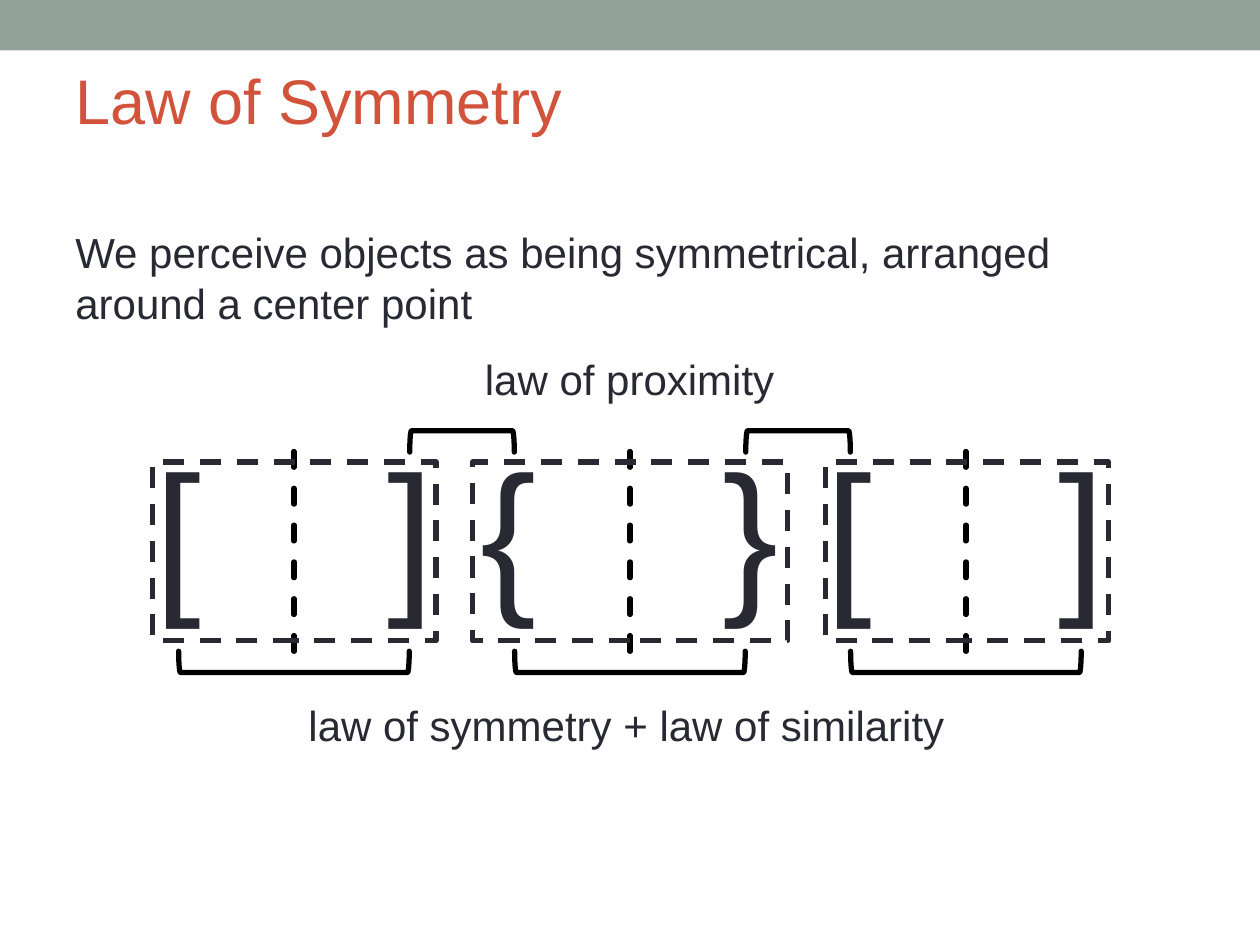
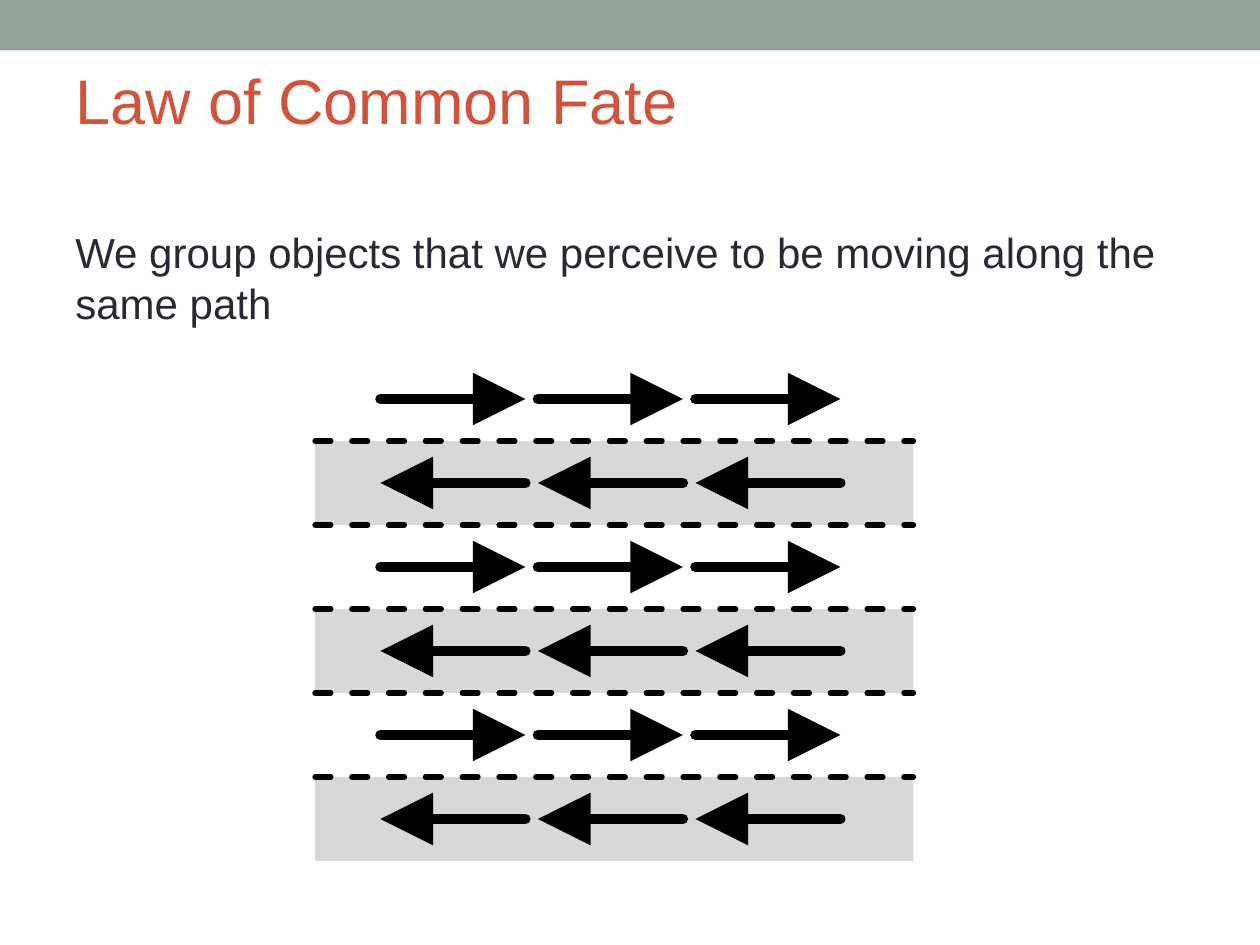
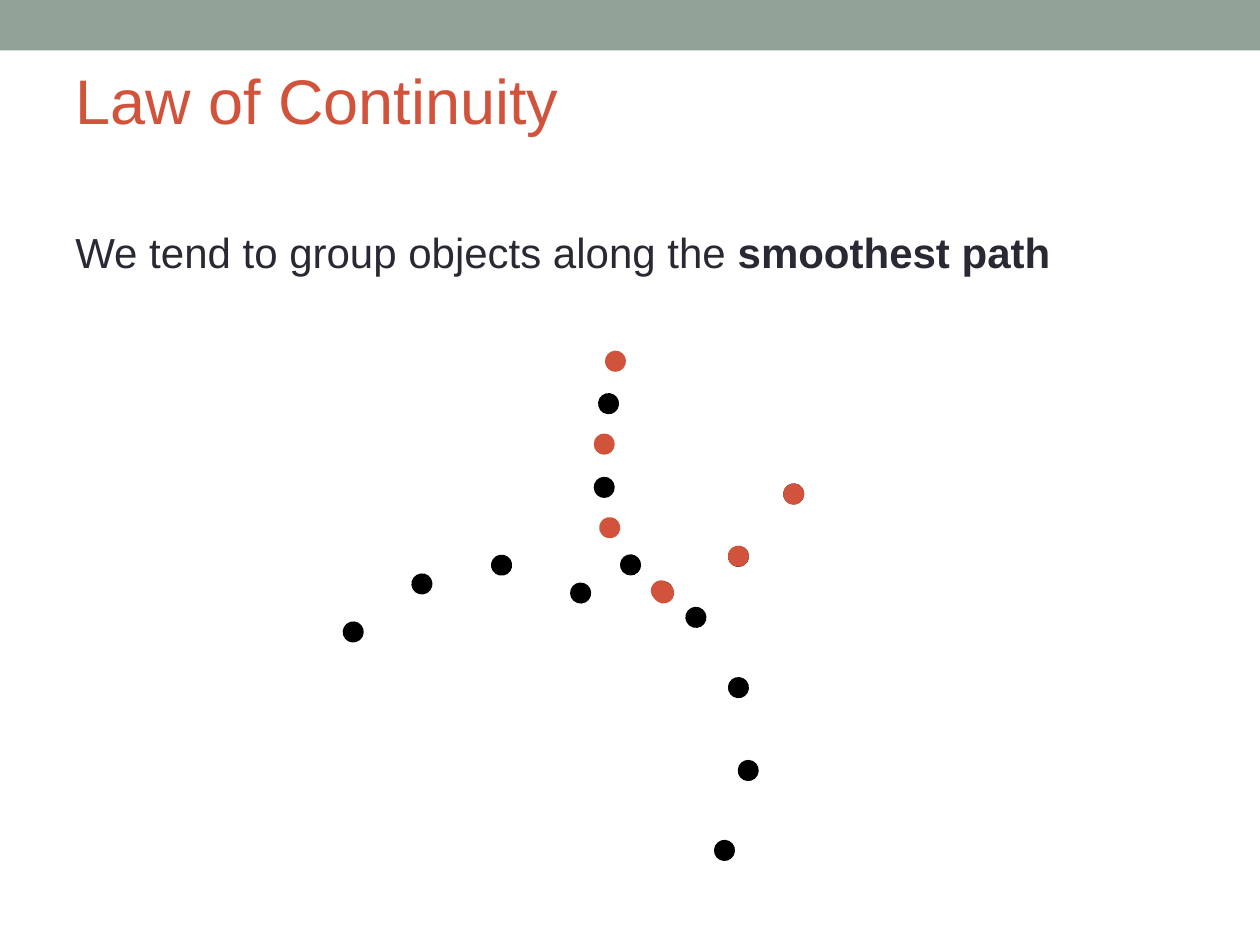
from pptx import Presentation
from pptx.dml.color import RGBColor
from pptx.enum import dml, shapes, text
from pptx.oxml import ns
from pptx.oxml.xmlchemy import OxmlElement
from pptx.util import Inches, Pt

FONT = "Arial"
SAGE = RGBColor(0x93, 0xA2, 0x99)
RUST = RGBColor(0xD2, 0x53, 0x3C)
INK = RGBColor(0x29, 0x29, 0x34)
BLACK = RGBColor(0, 0, 0)
LANE_GRAY = RGBColor(0xD8, 0xD8, 0xD8)


# ---- shared helpers ----
def add_child(parent, tag, **attributes):
    child = OxmlElement(tag)
    for key, value in attributes.items():
        child.set(key, str(value))
    parent.append(child)
    return child


def style_line(part, color, width, dash=None, rounded=True, arrow=False):
    part.line.color.rgb = color
    part.line.width = Pt(width)
    ln = part.element.spPr.find(ns.qn("a:ln"))
    if dash:
        add_child(ln, "a:prstDash", val=dash)
    if rounded:
        ln.set("cap", "rnd")
        add_child(ln, "a:round")
    if arrow:
        add_child(ln, "a:tailEnd", type="triangle", w="lg", len="lg")


def add_line(slide, start, end, width=3, dash=None, arrow=False):
    line = slide.shapes.add_connector(
        shapes.MSO_CONNECTOR.STRAIGHT, *map(Inches, (*start, *end)))
    style_line(line, BLACK, width, dash, arrow=arrow)
    add_child(line.element.spPr, "a:effectLst")


def add_box(slide, kind, box, fill=None):
    part = slide.shapes.add_shape(kind, *map(Inches, box))
    part.shadow.inherit = False
    if fill is None:
        part.fill.background()
    else:
        part.fill.solid()
        part.fill.fore_color.rgb = fill
        part.line.fill.background()
    return part


def add_text(slide, box, runs, size=24, color=INK, wrap=True,
             align=text.PP_ALIGN.LEFT, anchor=text.MSO_ANCHOR.TOP):
    """Place one paragraph of (wording, bold) runs and return it."""
    frame = slide.shapes.add_textbox(*map(Inches, box)).text_frame
    frame.word_wrap = wrap
    frame.vertical_anchor = anchor
    paragraph = frame.paragraphs[0]
    paragraph.alignment = align
    for wording, bold in runs:
        run = paragraph.add_run()
        run.text = wording
        run.font.name = FONT
        run.font.size = Pt(size)
        run.font.bold = bold
        run.font.color.rgb = color
    return paragraph


def add_law_slide(prs, title, statement):
    """Blank slide with the top band, the law's name and its statement."""
    slide = prs.slides.add_slide(prs.slide_layouts[6])
    add_box(slide, shapes.MSO_SHAPE.RECTANGLE, (0, 0, 10, 0.4), SAGE)
    add_text(slide, (0.5, 0.25, 9, 1.08), [(title, False)], 36, RUST,
             anchor=text.MSO_ANCHOR.MIDDLE)
    add_text(slide, (0.5, 1.75, 9, 5.33), statement)
    return slide


# ---- symmetry: three mirrored bracket pairs ----
def add_bracket(slide, center_x, center_y, span, rotation):
    depth = 0.17
    bracket = add_box(slide, shapes.MSO_SHAPE.LEFT_BRACKET,
                      (center_x - depth / 2, center_y - span / 2, depth, span))
    bracket.rotation = rotation
    bracket.adjustments[0] = 0.083
    style_line(bracket, BLACK, 3)


def draw_symmetry(slide, left, top, width):
    middle, pitch = left + width / 2, 8 / 3
    axes = [middle + step * pitch for step in (-1, 0, 1)]

    # Bracket characters, with one widened space inside each pair
    pieces = ["[", " ", "] {", " ", "} [", " ", "]"]
    glyphs = add_text(slide, (left, top, width, 1.72), [(p, False) for p in pieces],
                      96, wrap=False, align=text.PP_ALIGN.CENTER)
    for run in glyphs.runs:
        if run.text == " ":
            run._r.get_or_add_rPr().set("spc", "7960")

    # Mirror axes and frames around the pairs
    for axis in axes:
        add_line(slide, (axis, top + 0.25), (axis, top + 1.84), dash="dash")
    for frame_left, frame_width in ((0.13, 2.25), (2.67, 2.5), (5.47, 2.25)):
        frame = add_box(slide, shapes.MSO_SHAPE.RECTANGLE,
                        (left + frame_left, top + 1 / 3, frame_width, 1.42))
        style_line(frame, INK, 3, "dash", rounded=False)

    # Proximity above, symmetry and similarity below
    for side in (-1, 1):
        add_bracket(slide, middle + side * pitch / 2, top + 0.17, 0.83, 90)
    add_text(slide, (left + 2.67, top - 0.58, 2.52, 0.5), [("law of proximity", False)])
    for axis in axes:
        add_bracket(slide, axis, top + 1.92, 1.83, 270)
    add_text(slide, (left + 1.27, top + 2.17, 5.3, 0.5),
             [("law of symmetry + law of similarity", False)])


# ---- common fate: lanes of arrows in alternating directions ----
def draw_common_fate(slide, left, top, width, height, lanes=6):
    lane = height / lanes
    for row in range(1, lanes, 2):
        add_box(slide, shapes.MSO_SHAPE.RECTANGLE,
                (left, top + row * lane, width, lane), LANE_GRAY)
    for row in range(1, lanes):
        y = top + row * lane
        add_line(slide, (left, y), (left + width, y), dash="dash")
    for column in range(3):
        x = left + 0.52 + column * 1.25
        for row in range(lanes):
            y = top + (row + 0.5) * lane
            ends = [(x, y), (x + 1.15, y)]
            if row % 2:
                ends.reverse()
            add_line(slide, *ends, width=6, arrow=True)


# ---- continuity: dotted curves ----
def draw_dotted_curve(slide, left, top, color, start, segments):
    """Draw a curve; each segment is (control, control, end)."""
    def place(point):
        return Inches(left + point[0]), Inches(top + point[1])

    builder = slide.shapes.build_freeform(*place(start))
    builder.add_line_segments([place(end) for *_, end in segments], close=False)
    curve = builder.convert_to_shape()
    # Bend each straight segment into a cubic one
    for straight, segment in zip(list(curve.element.iter(ns.qn("a:lnTo"))), segments):
        bend = OxmlElement("a:cubicBezTo")
        for x, y in map(place, segment):
            add_child(bend, "a:pt", x=x - curve.left, y=y - curve.top)
        straight.getparent().replace(straight, bend)
    curve.shadow.inherit = False
    curve.fill.background()
    style_line(curve, color, 12, "dot")


def draw_continuity(slide, left, top):
    curves = [
        # Full paths: right to left, then bottom to top
        (BLACK, (4, 1.42), [((3.66, 2), (3.17, 2.16), (2.73, 2.25)),
                            ((2.3, 2.35), (1.83, 1.87), (1.38, 1.99)),
                            ((0.93, 2.11), (0.22, 2.73), (0.03, 2.96))]),
        (BLACK, (3.45, 4.25), [((3.76, 3.65), (3.64, 3.16), (3.49, 2.74)),
                               ((3.34, 2.32), (2.69, 2.17), (2.55, 1.73)),
                               ((2.41, 1.28), (2.56, 0.35), (2.66, 0.07))]),
        # Highlighted halves
        (RUST, (2.95, 2.19), [((2.8, 2.06), (2.65, 2.03), (2.55, 1.73)),
                              ((2.46, 1.42), (2.48, 0.59), (2.6, 0.33))]),
        (RUST, (4, 1.42), [((3.86, 1.71), (3.43, 2.1), (2.95, 2.21))]),
    ]
    for color, start, segments in curves:
        draw_dotted_curve(slide, left, top, color, start, segments)


def main():
    prs = Presentation()
    prs.slide_width, prs.slide_height = Inches(10), Inches(7.5)

    symmetry = add_law_slide(prs, "Law of Symmetry", [
        ("We perceive objects as being symmetrical, arranged around a center point", False)])
    draw_symmetry(symmetry, 1.08, 10 / 3, 7.84)

    common_fate = add_law_slide(prs, "Law of Common Fate", [
        ("We group objects that we perceive to be moving along the same path", False)])
    draw_common_fate(common_fate, 2.5, 17 / 6, 4.75, 4)

    continuity = add_law_slide(prs, "Law of Continuity", [
        ("We tend to group objects along the ", False), ("smoothest path", True)])
    draw_continuity(continuity, 2.3, 2.5)

    prs.save("out.pptx")


if __name__ == "__main__":
    main()
